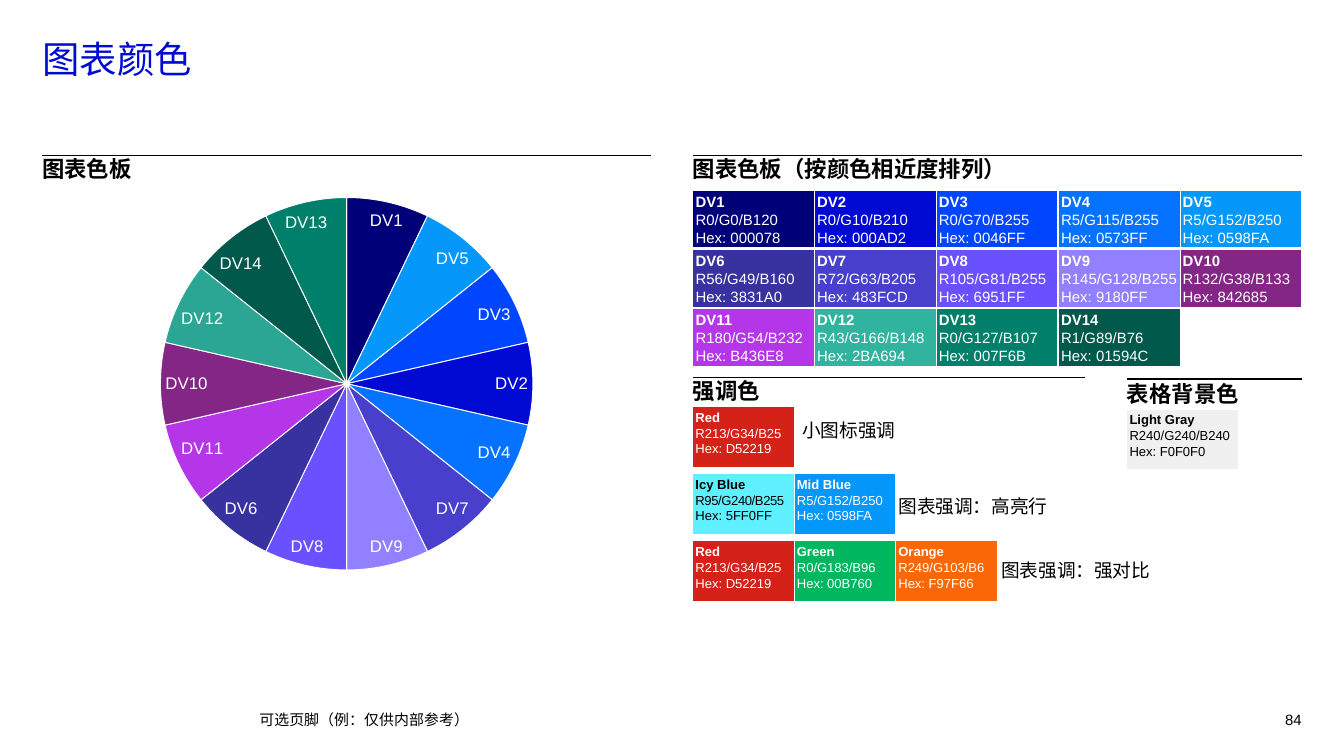
from lxml import etree
from pptx import Presentation
from pptx.chart.data import CategoryChartData
from pptx.dml.color import RGBColor
from pptx.enum.chart import XL_CHART_TYPE, XL_LABEL_POSITION
from pptx.enum.shapes import MSO_CONNECTOR, MSO_SHAPE
from pptx.enum.text import MSO_ANCHOR, PP_ALIGN
from pptx.oxml import parse_xml
from pptx.oxml.ns import nsdecls, qn
from pptx.util import Emu, Pt

PIE = XL_CHART_TYPE.PIE
BEST_FIT = XL_LABEL_POSITION.BEST_FIT
STRAIGHT = MSO_CONNECTOR.STRAIGHT
RECTANGLE = MSO_SHAPE.RECTANGLE
TOP, MIDDLE = MSO_ANCHOR.TOP, MSO_ANCHOR.MIDDLE
LEFT, RIGHT = PP_ALIGN.LEFT, PP_ALIGN.RIGHT

EMU_PER_PX = 4572  # 200 px to the inch
FONT = "Arial"
COLORS = {
    "Black": "000000", "White": "FFFFFF", "Title": "000AD2",
    "DV1": "000078", "DV2": "000AD2", "DV3": "0046FF", "DV4": "0573FF",
    "DV5": "0598FA", "DV6": "3831A0", "DV7": "483FCD", "DV8": "6951FF",
    "DV9": "9180FF", "DV10": "842685", "DV11": "B436E8", "DV12": "2BA694",
    "DV13": "007F6B", "DV14": "01594C",
    "Red": "D52219", "Icy Blue": "5FF0FF", "Mid Blue": "0598FA",
    "Green": "00B760", "Orange": "F96706", "Light Gray": "F0F0F0",
}
# Swatches whose fill or printed hex code differs from the palette value
SWATCH_FILLS = {"DV12": "30B39F"}
SWATCH_CODES = {"Orange": "F97F66"}
DARK_TEXT = {"Icy Blue", "Light Gray"}
TIGHT_TEXT = {"Icy Blue"}

PALETTE = [f"DV{number}" for number in range(1, 15)]
PIE_ORDER = [f"DV{number}" for number in (1, 5, 3, 2, 4, 7, 9, 8, 6, 11, 10, 12, 14, 13)]
PIE_PLOT = {"x": 0.19, "y": 0.1, "w": 0.62, "h": 0.88}


def px(length):
    return Emu(length * EMU_PER_PX)


def rgb(color):
    return RGBColor.from_string(color)


def add_run(paragraph, text, size, color, bold=False):
    run = paragraph.add_run()
    run.text = text
    run.font.name = FONT
    run.font.size = Pt(size)
    run.font.bold = bold
    run.font.color.rgb = rgb(color)
    return run


def set_frame(frame, inset=0, anchor=TOP, wrap=True):
    frame.margin_left = frame.margin_top = frame.margin_bottom = px(inset)
    frame.margin_right = 0
    frame.vertical_anchor = anchor
    frame.word_wrap = wrap


def add_text(slide, box, text, size, color=COLORS["Black"], bold=False,
             anchor=TOP, align=LEFT, wrap=True):
    frame = slide.shapes.add_textbox(*map(px, box)).text_frame
    set_frame(frame, anchor=anchor, wrap=wrap)
    paragraph = frame.paragraphs[0]
    paragraph.alignment = align
    add_run(paragraph, text, size, color, bold)


def add_heading(slide, box, text, gap=0):
    """Bold heading under a rule that spans the top of the box."""
    left, top, width, height = box
    rule = slide.shapes.add_connector(
        STRAIGHT, px(left), px(top), px(left + width), px(top))
    rule.line.color.rgb = rgb(COLORS["Black"])
    rule.line.width = Pt(0.75)
    etree.SubElement(rule._element.spPr, qn("a:effectLst"))
    add_text(slide, (left, top + gap, width, height), text, 12, bold=True)


def add_swatch(slide, box, name, size):
    """Colour block that prints its name, RGB values and hex code."""
    color = COLORS[name]
    swatch = slide.shapes.add_shape(RECTANGLE, *map(px, box))
    swatch.shadow.inherit = False
    swatch.fill.solid()
    swatch.fill.fore_color.rgb = rgb(SWATCH_FILLS.get(name, color))
    swatch.line.color.rgb = rgb(COLORS["White"])
    swatch.line.width = Pt(0.5)
    frame = swatch.text_frame
    set_frame(frame, inset=4)
    red, green, blue = rgb(color)
    lines = [name, f"R{red}/G{green}/B{blue}", f"Hex: {SWATCH_CODES.get(name, color)}"]
    text_color = COLORS["Black" if name in DARK_TEXT else "White"]
    for index, line in enumerate(lines):
        paragraph = frame.add_paragraph() if index else frame.paragraphs[0]
        paragraph.alignment = LEFT
        run = add_run(paragraph, line, size, text_color, bold=index == 0)
        if index == 1 and name in TIGHT_TEXT:
            run.font._element.set("spc", "-20")


def set_plot_layout(chart, plot):
    plot_area = chart._chartSpace.chart.plotArea
    for layout in plot_area.findall(qn("c:layout")):
        plot_area.remove(layout)
    places = "".join(f'<c:{key} val="{value}"/>' for key, value in plot.items())
    plot_area.insert(0, parse_xml(
        f'<c:layout {nsdecls("c")}><c:manualLayout><c:layoutTarget val="inner"/>'
        f'<c:xMode val="edge"/><c:yMode val="edge"/>{places}'
        '</c:manualLayout></c:layout>'))


def add_pie(slide, box):
    data = CategoryChartData()
    data.categories = PIE_ORDER
    data.add_series("Series 1", [7] * len(PIE_ORDER))
    chart = slide.shapes.add_chart(PIE, *map(px, box), data).chart
    chart.has_title = False
    chart.has_legend = False
    chart.font.name = FONT
    chart.font.size = Pt(10)
    chart.font.color.rgb = rgb(COLORS["Black"])
    set_plot_layout(chart, PIE_PLOT)

    plot = chart.plots[0]
    plot.vary_by_categories = True
    for index, name in enumerate(PIE_ORDER):
        slice_format = plot.series[0].points[index].format
        slice_format.fill.solid()
        slice_format.fill.fore_color.rgb = rgb(COLORS[name])
        slice_format.line.color.rgb = rgb(COLORS["White"])
        slice_format.line.width = Pt(0.5)

    labels = plot.series[0].data_labels
    labels.show_category_name = True
    labels.show_value = False
    labels.show_percentage = False
    labels.position = BEST_FIT
    labels.font.name = FONT
    labels.font.size = Pt(9)
    labels.font.color.rgb = rgb(COLORS["White"])


def add_pie_region(slide, box):
    left, top, width, _ = box
    add_pie(slide, box)
    add_heading(slide, (left, top, width, 40), "图表色板")


def add_palette_region(slide, box):
    left, top, width, _ = box
    columns = 5
    add_heading(slide, (left, top, width, 40), "图表色板（按颜色相近度排列）")
    for index, name in enumerate(PALETTE):
        row, column = divmod(index, columns)
        cell = (left + round(column * width / columns), top + 52 + row * 88, 181, 86)
        add_swatch(slide, cell, name, 8)


def add_accent_region(slide, box):
    left, top, width, _ = box
    add_heading(slide, (left, top, width, 40), "强调色")
    rows = [
        (["Red"], "小图标强调", (163, 62, 140, 34)),
        (["Icy Blue", "Mid Blue"], "图表强调：高亮行", (306, 174, 224, 34)),
        (["Red", "Green", "Orange"], "图表强调：强对比", (459, 270, 224, 34)),
    ]
    for row, (names, caption, (x, y, caption_width, caption_height)) in enumerate(rows):
        for column, name in enumerate(names):
            cell = (left + column * 151, top + 43 + row * 100, 151, 90)
            add_swatch(slide, cell, name, 7)
        add_text(slide, (left + x, top + y, caption_width, caption_height),
                 caption, 10, wrap=False)


def add_background_region(slide, box):
    left, top, width, _ = box
    add_heading(slide, (left, top, width, 40), "表格背景色", gap=2)
    add_swatch(slide, (left, top + 45, 166, 90), "Light Gray", 7)


def add_footer(slide, box):
    left, top, width, height = box
    add_text(slide, (left, top, 1292, height), "可选页脚（例：仅供内部参考）", 8, anchor=MIDDLE)
    add_text(slide, (left + width - 78, top, 78, height), "84", 8,
             anchor=MIDDLE, align=RIGHT)


def main():
    presentation = Presentation()
    presentation.slide_width, presentation.slide_height = px(2000), px(1125)
    slide = presentation.slides.add_slide(presentation.slide_layouts[6])
    add_text(slide, (63, 54, 1874, 144), "图表颜色", 20, COLORS["Title"])
    add_pie_region(slide, (63, 231, 906, 630))
    add_palette_region(slide, (1031, 231, 906, 314))
    add_accent_region(slide, (1031, 562, 584, 333))
    add_background_region(slide, (1677, 564, 260, 135))
    add_footer(slide, (386, 1056, 1551, 30))
    presentation.save("out.pptx")


if __name__ == "__main__":
    main()
